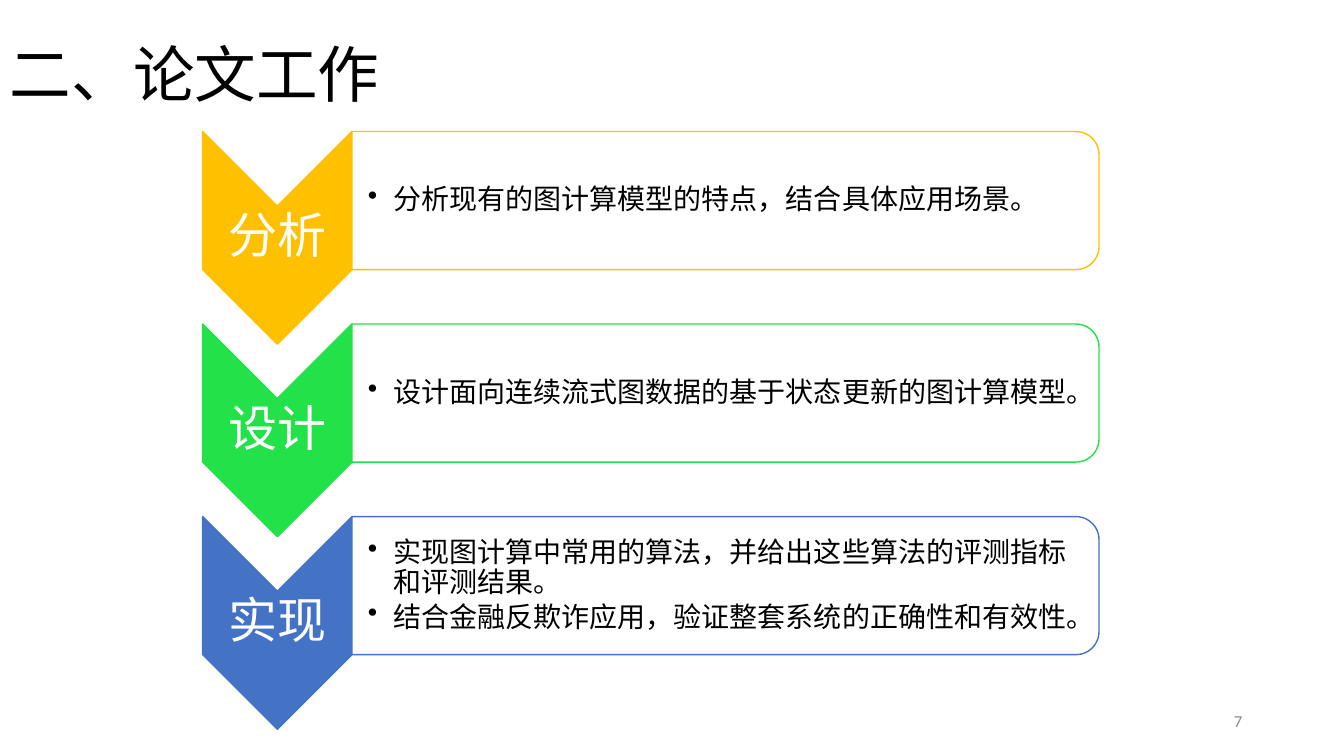
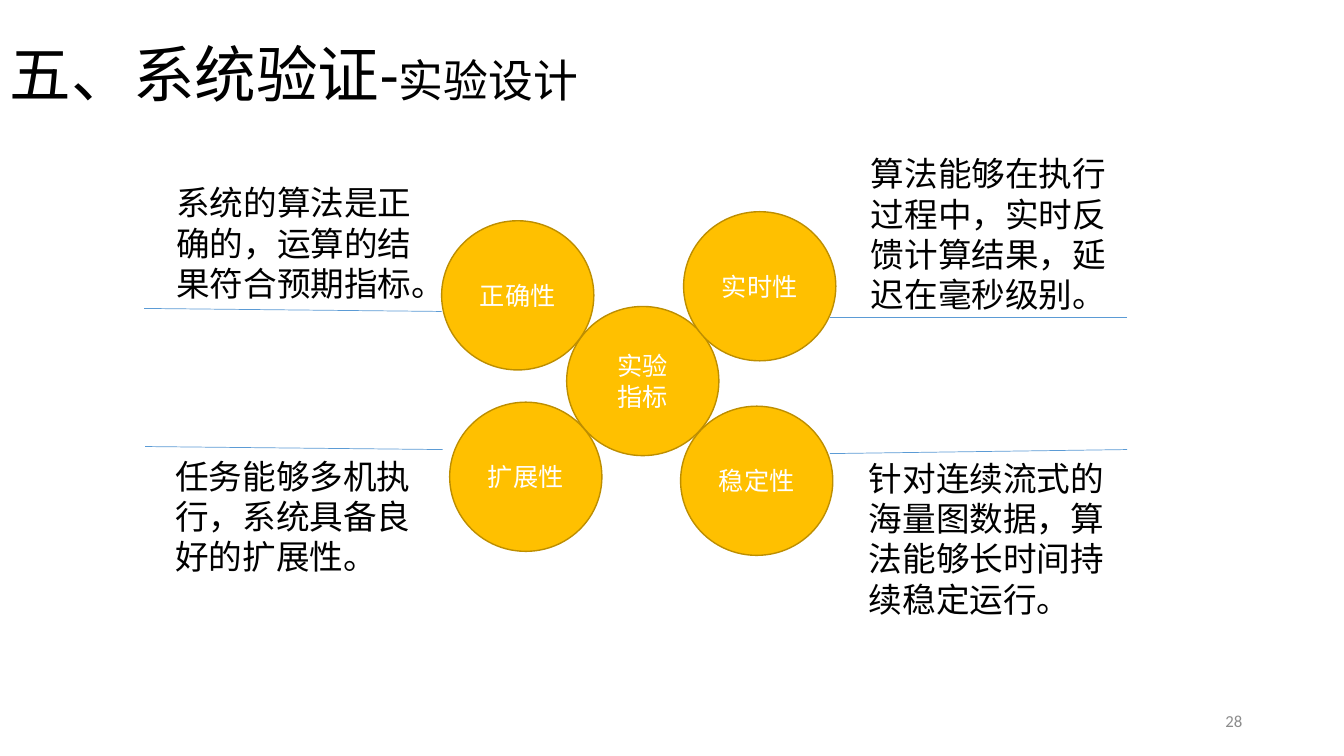
from lxml.etree import SubElement
from pptx import Presentation
from pptx.dml.color import RGBColor
from pptx.enum.shapes import MSO_CONNECTOR, MSO_SHAPE
from pptx.enum.text import MSO_ANCHOR, PP_ALIGN
from pptx.oxml.ns import qn
from pptx.util import Emu, Pt

FONT = "Calibri"
BLACK, WHITE, GRAY = "000000", "FFFFFF", "8C8C8C"
GOLD, DARK_GOLD, GREEN, BLUE, LIGHT_BLUE = "FFC000", "BD8E00", "23E148", "4472C4", "5B9BD5"

# Titles are (text, size) runs
WORK_TITLE = [("二、论文工作", 44)]
WORK_PAGE = "7"
STEPS = [
    ("分析", GOLD, ["分析现有的图计算模型的特点，结合具体应用场景。"]),
    ("设计", GREEN, ["设计面向连续流式图数据的基于状态更新的图计算模型。"]),
    ("实现", BLUE, ["实现图计算中常用的算法，并给出这些算法的评测指标和评测结果。",
                  "结合金融反欺诈应用，验证整套系统的正确性和有效性。"]),
]

TEST_TITLE = [("五、系统验证-", 44), ("实验设计", 32)]
TEST_PAGE = "28"
# Circles: lines, left, top
CIRCLES = [
    (["实验", "指标"], 562, 304),
    (["实时性"], 678, 210),
    (["稳定性"], 675, 403),
    (["正确性"], 438, 219),
    (["扩展性"], 446, 399),
]
# Captions: text, left, top, height
CAPTIONS = [
    ("系统的算法是正确的，运算的结果符合预期指标。", 165, 176, 131),
    ("算法能够在执行过程中，实时反馈计算结果，延迟在毫秒级别。", 854, 147, 172),
    ("针对连续流式的海量图数据，算法能够长时间持续稳定运行。", 852, 449, 172),
    ("任务能够多机执行，系统具备良好的扩展性。", 164, 447, 131),
]
# Rules: start and end points
RULES = [
    (438, 309, 143, 306),
    (1118, 315, 823, 315),
    (439, 446, 144, 443),
    (1118, 446, 823, 450),
]

# Geometry of the step list
FIRST_CENTER, STEP_PITCH = 236, 191
CHEVRON_LEFT, CHEVRON_WIDTH, CHEVRON_HEIGHT = 201, 148, 211
LABEL_HEIGHT = 63
BOX_LEFT, BOX_WIDTH, BOX_HEIGHT, BOX_RISE = 349, 741, 137, 37
BODY_WIDTH, BODY_HEIGHT = 734, 124
CIRCLE_WIDTH, CIRCLE_HEIGHT, CAPTION_WIDTH = 151, 148, 284


def px(length):
    """Convert px (100 to the inch) to EMU."""
    return Emu(round(length * 9144))


def color(value):
    return RGBColor.from_string(value)


def write(frame, paragraphs, text_color, align=PP_ALIGN.LEFT, anchor=MSO_ANCHOR.MIDDLE,
          insets=(10, 5, 10, 5), line_spacing=None, space_after=None, bullet=False):
    """Fill a text frame; each paragraph is a list of (text, size) runs."""
    frame.word_wrap = True
    frame.vertical_anchor = anchor
    frame.margin_left, frame.margin_top, frame.margin_right, frame.margin_bottom = map(px, insets)
    for index, runs in enumerate(paragraphs):
        paragraph = frame.add_paragraph() if index else frame.paragraphs[0]
        paragraph.alignment = align
        if line_spacing:
            paragraph.line_spacing = line_spacing
        if space_after:
            paragraph.space_after = Pt(space_after)
        if bullet:
            properties = paragraph._p.get_or_add_pPr()
            properties.set("marL", str(px(25)))
            properties.set("indent", str(px(-25)))
            SubElement(properties, qn("a:buChar"), char="•")
        for text, size in runs:
            run = paragraph.add_run()
            run.text = text
            run.font.name = FONT
            run.font.size = Pt(size)
            run.font.color.rgb = color(text_color)


def add_text(slide, left, top, width, height, paragraphs, text_color=BLACK, **style):
    box = slide.shapes.add_textbox(px(left), px(top), px(width), px(height))
    write(box.text_frame, paragraphs, text_color, **style)


def add_shape(slide, kind, left, top, width, height, fill, line):
    shape = slide.shapes.add_shape(kind, px(left), px(top), px(width), px(height))
    shape.shadow.inherit = False
    shape.fill.solid()
    shape.fill.fore_color.rgb = color(fill)
    shape.line.color.rgb = color(line)
    shape.line.width = Pt(1)
    return shape


def add_turned_shape(slide, kind, left, center, width, height, fill, line):
    """Add a shape turned by 90 degrees; the sizes are those seen after the turn."""
    shape = add_shape(slide, kind, left + (width - height) / 2, center - width / 2,
                      height, width, fill, line)
    shape.rotation = 90


def add_rule(slide, start_x, start_y, end_x, end_y):
    rule = slide.shapes.add_connector(MSO_CONNECTOR.STRAIGHT, px(start_x), px(start_y),
                                      px(end_x), px(end_y))
    rule.line.color.rgb = color(LIGHT_BLUE)
    rule.line.width = Pt(0.5)
    SubElement(rule._element.spPr, qn("a:effectLst"))


def add_slide(presentation, title, page):
    """Add a slide with the shared title and page number."""
    slide = presentation.slides.add_slide(presentation.slide_layouts[6])
    add_text(slide, 0, 0, 1029, 153, [title], line_spacing=0.9)
    add_text(slide, 942, 695, 300, 40, [[(page, 12)]], GRAY, align=PP_ALIGN.RIGHT)
    return slide


def build_work_slide(presentation):
    slide = add_slide(presentation, WORK_TITLE, WORK_PAGE)
    for index, (label, accent, points) in enumerate(STEPS):
        center = FIRST_CENTER + index * STEP_PITCH
        box_center = center - BOX_RISE
        add_turned_shape(slide, MSO_SHAPE.CHEVRON, CHEVRON_LEFT, center,
                         CHEVRON_WIDTH, CHEVRON_HEIGHT, accent, accent)
        add_text(slide, CHEVRON_LEFT, center - LABEL_HEIGHT / 2, CHEVRON_WIDTH, LABEL_HEIGHT,
                 [[(label, 35)]], WHITE, align=PP_ALIGN.CENTER, insets=(2, 2, 2, 2),
                 line_spacing=0.9, space_after=12)
        add_turned_shape(slide, MSO_SHAPE.ROUND_2_SAME_RECTANGLE, BOX_LEFT, box_center,
                         BOX_WIDTH, BOX_HEIGHT, WHITE, accent)
        add_text(slide, BOX_LEFT, box_center - BODY_HEIGHT / 2, BODY_WIDTH, BODY_HEIGHT,
                 [[(point, 20)] for point in points], insets=(16, 1, 1, 1),
                 line_spacing=0.9, space_after=3, bullet=True)


def build_test_slide(presentation):
    slide = add_slide(presentation, TEST_TITLE, TEST_PAGE)
    for lines, left, top in CIRCLES:
        circle = add_shape(slide, MSO_SHAPE.FLOWCHART_CONNECTOR, left, top,
                           CIRCLE_WIDTH, CIRCLE_HEIGHT, GOLD, DARK_GOLD)
        write(circle.text_frame, [[(line, 18)] for line in lines], WHITE, align=PP_ALIGN.CENTER)
    for text, left, top, height in CAPTIONS:
        add_text(slide, left, top, CAPTION_WIDTH, height, [[(text, 24)]], anchor=MSO_ANCHOR.TOP)
    for rule in RULES:
        add_rule(slide, *rule)


def main():
    presentation = Presentation()
    presentation.slide_width, presentation.slide_height = px(1333), px(750)
    build_work_slide(presentation)
    build_test_slide(presentation)
    presentation.save("out.pptx")


if __name__ == "__main__":
    main()
